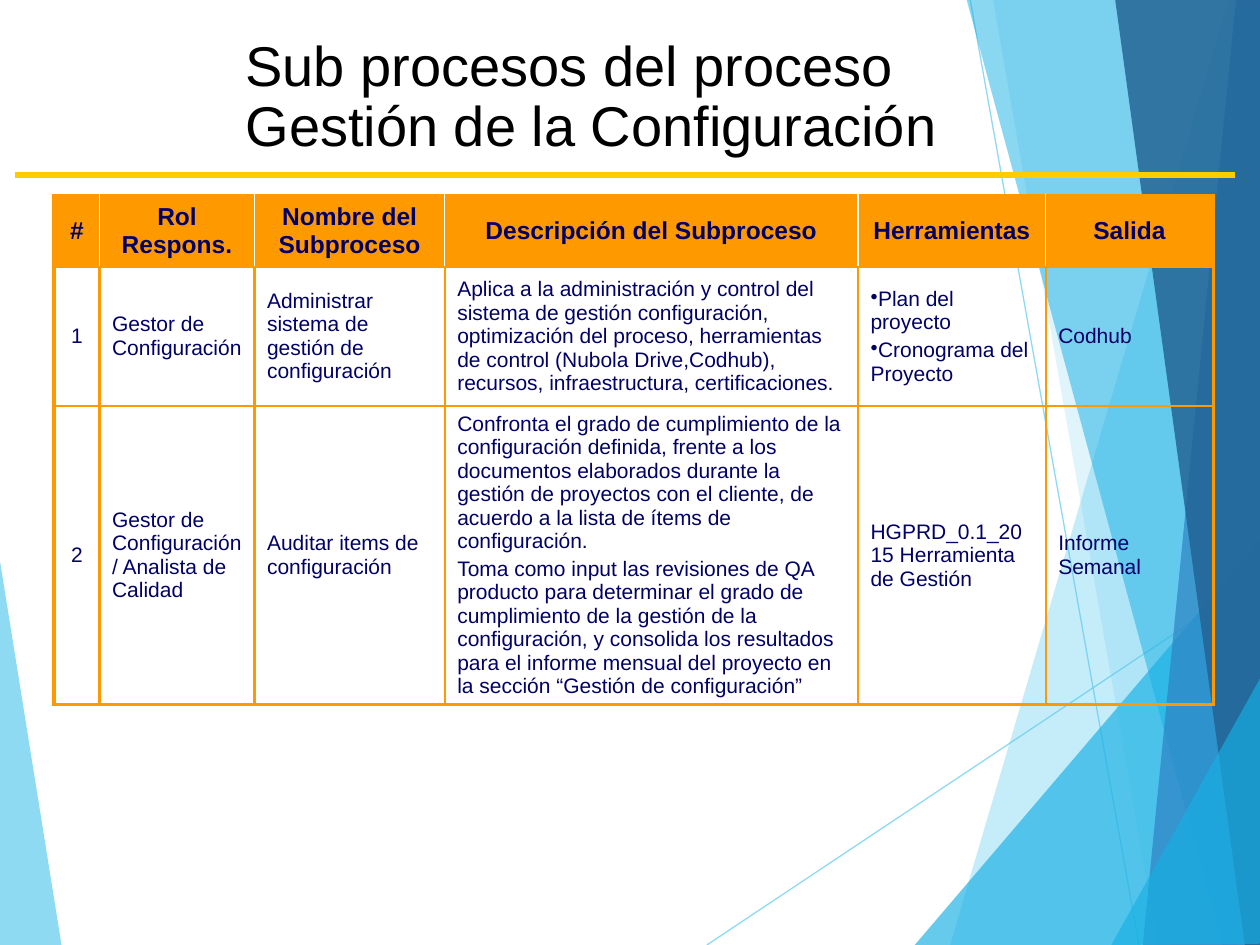
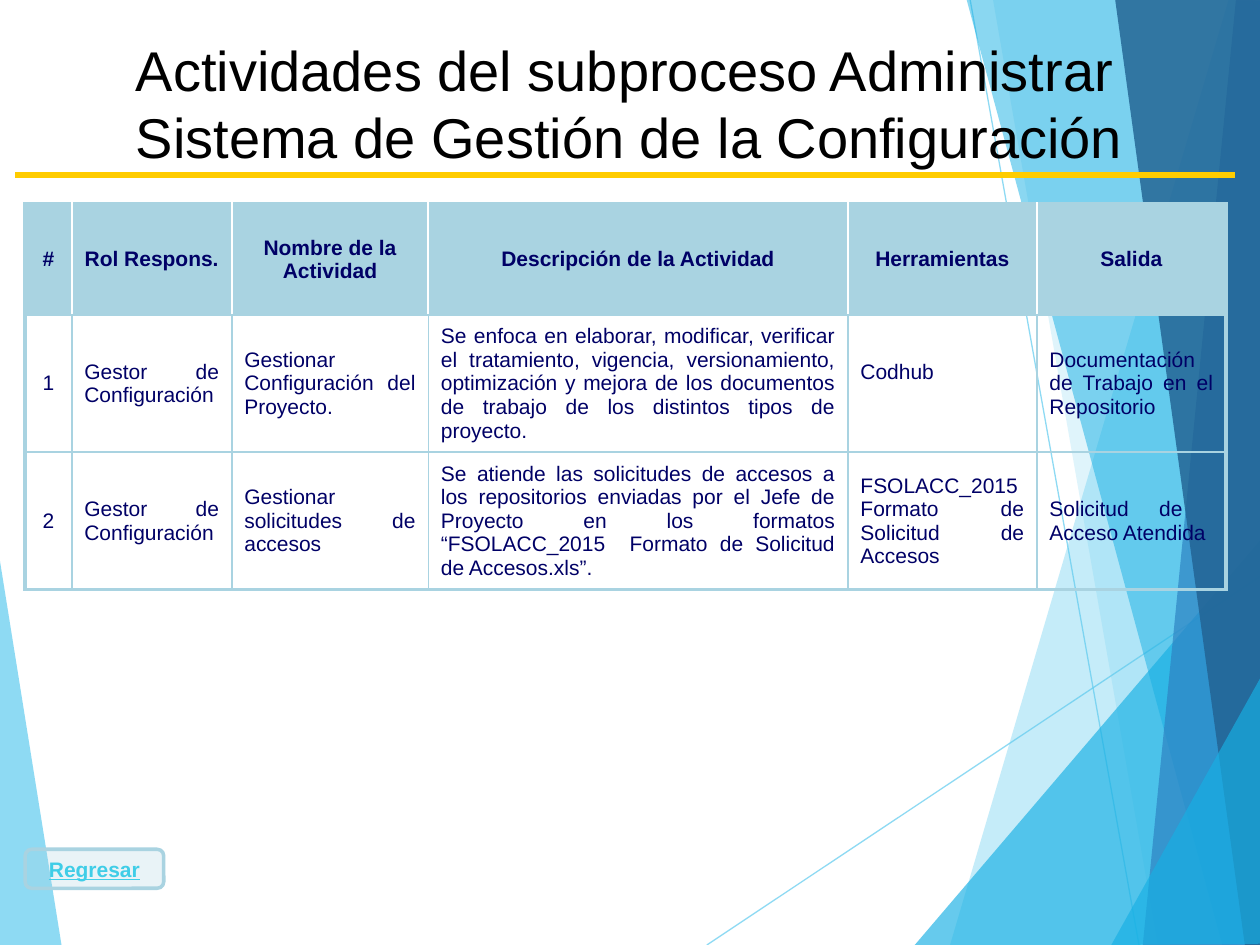
from lxml import etree
from pptx import Presentation
from pptx.dml.color import RGBColor
from pptx.enum.shapes import MSO_CONNECTOR, MSO_SHAPE
from pptx.enum.text import MSO_ANCHOR, PP_ALIGN
from pptx.oxml.ns import qn
from pptx.util import Inches, Pt

STRAIGHT = MSO_CONNECTOR.STRAIGHT
BUTTON = MSO_SHAPE.FLOWCHART_ALTERNATE_PROCESS
MIDDLE = MSO_ANCHOR.MIDDLE
LEFT, CENTER, JUSTIFY = PP_ALIGN.LEFT, PP_ALIGN.CENTER, PP_ALIGN.JUSTIFY

BLACK = RGBColor(0x00, 0x00, 0x00)
WHITE = RGBColor(0xFF, 0xFF, 0xFF)
NAVY = RGBColor(0x00, 0x00, 0x66)
ORANGE = RGBColor(0xFF, 0x99, 0x00)
YELLOW = RGBColor(0xFF, 0xCC, 0x00)
PALE = RGBColor(0xA9, 0xD3, 0xE1)
LINK = RGBColor(0x3F, 0xCD, 0xE7)
SKY = RGBColor(0x5F, 0xCB, 0xEF)
CYAN = RGBColor(0x17, 0xB0, 0xE4)
BLUE = RGBColor(0x2E, 0x83, 0xC3)
DEEP = RGBColor(0x22, 0x62, 0x92)

TITLE = {"size": Pt(32), "name": "Arial"}
BODY = {"size": Pt(12), "name": "Arial", "bold": False}
HEAD = {**BODY, "bold": True}
LINK_FONT = {**HEAD, "underline": True}

LEFT_FACET = ([(-0.01, 4.39), (0.49, 7.51), (-0.01, 7.5)], SKY, 70)
RAYS = [((5.61, 7.5), (10.01, 4.57)), ((7.7, 0), (9.04, 7.5))]
RIGHT_FACETS = [
    ([(9.75, 0), (7.54, 7.5), (10.02, 7.51), (10.01, 0.01)], SKY, 36),
    ([(7.88, -0.01), (9.19, 7.5), (10.01, 7.5), (10.01, -0.01)], SKY, 20),
    ([(7.26, 7.5), (10, 4.29), (10.01, 7.5)], CYAN, 66),
    ([(7.67, -0.01), (9.7, 7.5), (10.01, 7.49), (10.01, -0.01)], CYAN, 50),
    ([(9.81, -0.01), (9.07, 7.5), (10.01, 7.5), (10, -0.01)], BLUE, 70),
    ([(8.85, -0.01), (9.88, 7.5), (10.02, 7.5), (10, -0.01)], DEEP, 82),
    ([(8.82, 7.5), (10.02, 5.35), (10.02, 7.49)], CYAN, 66),
]

SUBPROCESSES = [
    ["#", "Rol Respons.", "Nombre del Subproceso", "Descripción del Subproceso",
     "Herramientas", "Salida"],
    ["1", "Gestor de Configuración",
     "Administrar sistema de gestión de configuración",
     "Aplica a la administración y control del sistema de gestión configuración, "
     "optimización del proceso, herramientas de control (Nubola Drive,Codhub), "
     "recursos, infraestructura, certificaciones.",
     "•Plan del proyecto\n•Cronograma del Proyecto", "Codhub"],
    ["2", "Gestor de Configuración/ Analista de Calidad",
     "Auditar items de configuración",
     "Confronta el grado de cumplimiento de la configuración definida, frente a los "
     "documentos elaborados durante la gestión de proyectos con el cliente, de "
     "acuerdo a la lista de ítems de configuración.\n"
     "Toma como input las revisiones de QA producto para determinar el grado de "
     "cumplimiento de la gestión de la configuración, y consolida los resultados "
     "para el informe mensual del proyecto en la sección “Gestión de configuración”",
     "HGPRD_0.1_2015 Herramienta de Gestión", "Informe Semanal"],
]
ACTIVITIES = [
    ["#", "Rol Respons.", "Nombre de la Actividad", "Descripción de la Actividad",
     "Herramientas", "Salida"],
    ["1", "Gestor de Configuración", "Gestionar Configuración del Proyecto.",
     "Se enfoca en elaborar, modificar, verificar el tratamiento, vigencia, "
     "versionamiento, optimización y mejora de los documentos de trabajo de los "
     "distintos tipos de proyecto.",
     "Codhub", "Documentación de Trabajo en el Repositorio"],
    ["2", "Gestor de Configuración", "Gestionar solicitudes de accesos",
     "Se atiende las solicitudes de accesos a los repositorios enviadas por el Jefe "
     "de Proyecto en los formatos “FSOLACC_2015  Formato de Solicitud de "
     "Accesos.xls”.",
     "FSOLACC_2015\vFormato de Solicitud de Accesos",
     "Solicitud de  Acceso Atendida"],
]


class Deck:
    def __init__(self):
        self.prs = Presentation()
        self.prs.slide_width, self.prs.slide_height = Inches(10), Inches(7.5)
        self.s = None

    def add_slide(self):
        self.s = self.prs.slides.add_slide(self.prs.slide_layouts[6])
        self.facet(*LEFT_FACET)
        for start, end in RAYS:
            self.line(start, end, SKY, 0.75, 70)
        for facet in RIGHT_FACETS:
            self.facet(*facet)

    def paint(self, fill, color, alpha=100):
        fill.solid()
        fill.fore_color.rgb = color
        if alpha < 100:
            clr = fill._xPr.find(".//" + qn("a:srgbClr"))
            etree.SubElement(clr, qn("a:alpha"), val=str(alpha * 1000))

    def facet(self, points, color, alpha):
        pts = [(Inches(x), Inches(y)) for x, y in points]
        builder = self.s.shapes.build_freeform(*pts[0])
        builder.add_line_segments(pts[1:], close=True)
        sp = builder.convert_to_shape()
        sp.shadow.inherit = False
        sp.line.fill.background()
        self.paint(sp.fill, color, alpha)

    def line(self, start, end, color, width, alpha=100):
        ends = [Inches(v) for v in start + end]
        cx = self.s.shapes.add_connector(STRAIGHT, *ends)
        cx.line.width = Pt(width)
        self.paint(cx.line.fill, color, alpha)
        etree.SubElement(cx._element.spPr, qn("a:effectLst"))

    def text(self, tf, text, fmt, color, align=LEFT, spacing=1.0, before=0):
        tf.word_wrap = True
        for i, part in enumerate(text.split("\n")):
            p = tf.paragraphs[0] if i == 0 else tf.add_paragraph()
            p.text = part.lstrip("•")
            p.alignment, p.line_spacing = align, spacing
            p.space_before = Pt(before if i else 0)
            if part.startswith("•"):
                self.bullet(p, color)
            for r in p.runs:
                for name, value in fmt.items():
                    setattr(r.font, name, value)
                r.font.color.rgb = color

    def bullet(self, p, color):
        pPr = p._p.get_or_add_pPr()
        pPr.set("marL", "0")
        pPr.set("indent", "0")
        clr = etree.SubElement(pPr, qn("a:buClr"))
        etree.SubElement(clr, qn("a:srgbClr"), val=str(color))
        etree.SubElement(pPr, qn("a:buChar"), char="•")

    def title(self, text, x, y, w, h, spacing=1.0):
        box = self.s.shapes.add_textbox(Inches(x), Inches(y), Inches(w), Inches(h))
        self.text(box.text_frame, text, TITLE, BLACK, spacing=spacing)
        self.line((0.12, 1.39), (9.8, 1.39), YELLOW, 3)

    def button(self, text, x, y, w, h):
        sp = self.s.shapes.add_shape(BUTTON, Inches(x), Inches(y), Inches(w), Inches(h))
        sp.shadow.inherit = False
        self.paint(sp.fill, PALE, 25)
        self.paint(sp.line.fill, PALE)
        sp.line.width = Pt(2)
        sp.text_frame.vertical_anchor = MIDDLE
        self.text(sp.text_frame, text, LINK_FONT, LINK, CENTER)

    def border(self, cell, side, color, width):
        tcPr = cell._tc.get_or_add_tcPr()
        ln = etree.SubElement(tcPr, qn("a:ln" + side), w=str(Pt(width)))
        fill = etree.SubElement(ln, qn("a:solidFill"))
        etree.SubElement(fill, qn("a:srgbClr"), val=str(color))

    def table(self, rows, x, y, widths, heights, accent, head_size, align,
              head_rule, body_rule):
        frame = self.s.shapes.add_table(
            len(rows), len(widths), Inches(x), Inches(y),
            Inches(sum(widths)), Inches(sum(heights)))
        tbl = frame.table
        tbl.first_row = tbl.horz_banding = False
        for col, w in zip(tbl.columns, widths):
            col.width = Inches(w)
        for row, h in zip(tbl.rows, heights):
            row.height = Inches(h)
        last_row, last_col = len(rows) - 1, len(widths) - 1
        for i, values in enumerate(rows):
            inner = (body_rule if i else head_rule)
            for j, value in enumerate(values):
                cell = tbl.cell(i, j)
                cell.vertical_anchor = MIDDLE
                outer = {"L": j == 0, "R": j == last_col,
                         "T": i == 0, "B": i == last_row}
                for side, is_outer in outer.items():
                    rule = inner if side in "LR" else (accent, 1.5)
                    self.border(cell, side, *((accent, 2.25) if is_outer else rule))
                if i == 0:
                    self.paint(cell.fill, accent)
                else:
                    cell.fill.background()
                fmt = BODY if i else {**HEAD, "size": Pt(head_size)}
                self.text(cell.text_frame, value, fmt, NAVY,
                          CENTER if i == 0 or j == 0 else align, before=2.4)
        return tbl


def main():
    deck = Deck()

    deck.add_slide()
    deck.table(SUBPROCESSES, 0.43, 1.55, [0.36, 1.23, 1.51, 3.28, 1.49, 1.33],
               [0.57, 1.1, 2.37], ORANGE, 14, LEFT, (WHITE, 1), (ORANGE, 1.5))
    deck.title("Sub procesos del proceso\nGestión de la Configuración",
               1.85, 0.25, 8.32, 1.06, 0.9)

    deck.add_slide()
    tbl = deck.table(ACTIVITIES, 0.2, 1.62, [0.37, 1.27, 1.56, 3.33, 1.5, 1.5],
                     [0.88, 1.09, 1.09], PALE, 12, JUSTIFY, (WHITE, 1.5), (PALE, 1))
    tbl.cell(1, 4).margin_bottom = Inches(0.23)
    deck.button("Regresar", 0.2, 6.74, 1.1, 0.31)
    deck.title("Actividades del subproceso Administrar Sistema de Gestión de la "
               "Configuración", 0.98, 0.23, 9.03, 1.17)

    deck.prs.save("out.pptx")


if __name__ == "__main__":
    main()
